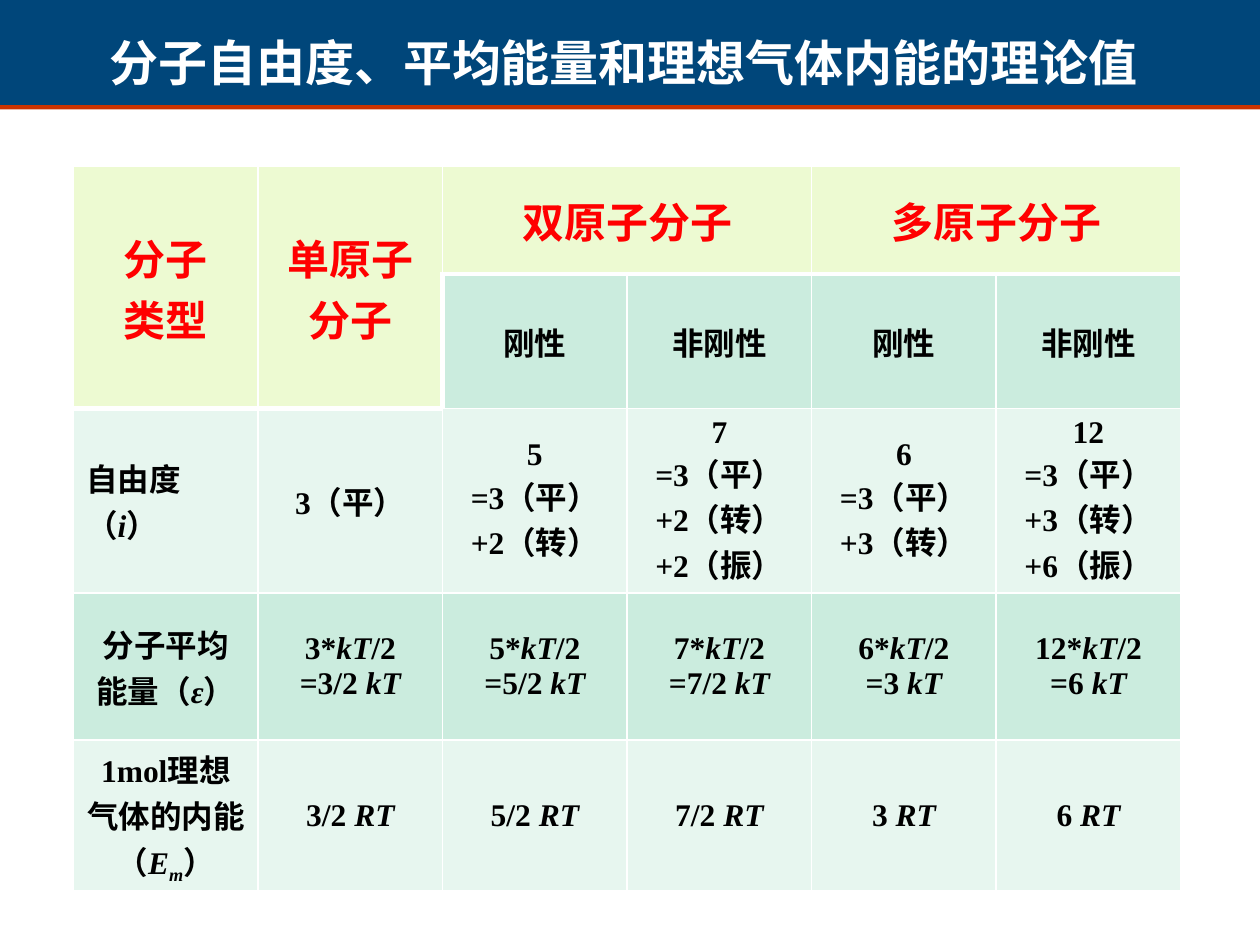
from typing import NamedTuple

from lxml.etree import SubElement
from pptx import Presentation
from pptx.dml.color import RGBColor
from pptx.enum.shapes import MSO_SHAPE
from pptx.enum.text import MSO_ANCHOR, MSO_AUTO_SIZE, PP_ALIGN
from pptx.oxml import parse_xml
from pptx.oxml.ns import nsdecls, qn
from pptx.util import Pt

WHITE = RGBColor(0xFF, 0xFF, 0xFF)
BLACK = RGBColor(0, 0, 0)
RED = RGBColor(0xFF, 0, 0)
NAVY = RGBColor(0x00, 0x46, 0x7A)
RUST = RGBColor(0xCC, 0x33, 0x00)
LIME = RGBColor(0xED, 0xFA, 0xD2)
MINT = RGBColor(0xCB, 0xEC, 0xDE)
PALE = RGBColor(0xE7, 0xF6, 0xEF)

LATIN = "Times New Roman"
CJK = "Noto Sans CJK SC"


class Bar(NamedTuple):
    top: float
    height: float
    color: RGBColor


class Span(NamedTuple):
    text: str
    italic: bool = False
    baseline: int = 0


class Entry(NamedTuple):
    lines: list[list[Span]]
    align: PP_ALIGN = PP_ALIGN.CENTER


def plain(*lines: str) -> Entry:
    return Entry([[Span(line)] for line in lines])


def energy(freedom: int, result: str) -> Entry:
    kt = Span("kT", italic=True)
    return Entry([[Span(f"{freedom}*"), kt, Span("/2")], [Span(f"={result} "), kt]])


def molar(factor: str) -> Entry:
    return Entry([[Span(f"{factor} "), Span("RT", italic=True)]])


def add_span(p, span: Span, size: float, color: RGBColor, latin: str) -> None:
    r = p.add_run()
    r.text = span.text
    r.font.size = Pt(size)
    r.font.bold = True
    r.font.italic = span.italic
    r.font.color.rgb = color
    r.font.name = latin
    props = r.font._element
    SubElement(props, qn("a:ea")).set("typeface", CJK)
    if span.baseline:
        props.set("baseline", str(span.baseline))


def add_bar(slide, bar: Bar, width: float) -> None:
    sp = slide.shapes.add_shape(
        MSO_SHAPE.RECTANGLE, Pt(0), Pt(bar.top), Pt(width), Pt(bar.height))
    sp.shadow.inherit = False
    sp.fill.solid()
    sp.fill.fore_color.rgb = bar.color
    sp.line.fill.background()


def set_borders(cell, row: int, col: int) -> None:
    """White rules, thick around the lower edge of the header."""
    under_header = (row == 1 and col >= 2) or (row == 2 and col < 2)
    widths = {
        "lnL": 3 if (row, col) == (1, 2) else 1,
        "lnR": 3 if (row, col) == (1, 1) else 1,
        "lnT": 3 if under_header else 1,
        "lnB": 3 if row == 0 or (row == 1 and col < 2) else 1,
    }
    props = cell._tc.get_or_add_tcPr()
    for i, (side, width) in enumerate(widths.items()):
        props.insert(i, parse_xml(
            f'<a:{side} {nsdecls("a")} w="{Pt(width)}"><a:solidFill>'
            f'<a:srgbClr val="{WHITE}"/></a:solidFill></a:{side}>'))


def fill_cell(cell, entry: Entry, size: float, color: RGBColor) -> None:
    cell.vertical_anchor = MSO_ANCHOR.MIDDLE
    tf = cell.text_frame
    for i, line in enumerate(entry.lines):
        p = tf.add_paragraph() if i else tf.paragraphs[0]
        p.alignment = entry.align
        for span in line:
            add_span(p, span, size, color, LATIN)


BARS = [Bar(57, 5.5, RUST), Bar(0, 60, NAVY)]
ROW_HEIGHTS = [61.5, 76.8, 105.4, 84, 86.3]
COL_WIDTH = 105.45
MERGES = [((0, 0), (1, 0)), ((0, 1), (1, 1)), ((0, 2), (0, 3)), ((0, 4), (0, 5))]

ROWS = [
    [plain("分子", "类型"), plain("单原子", "分子"),
     plain("双原子分子"), None, plain("多原子分子"), None],
    [None, None, plain("刚性"), plain("非刚性"), plain("刚性"), plain("非刚性")],
    [Entry([[Span("自由度（"), Span("i", True), Span("）")]], PP_ALIGN.LEFT),
     plain("3（平）"),
     plain("5", "=3（平）+2（转）"),
     plain("7", "=3（平）+2（转）+2（振）"),
     plain("6", "=3（平）+3（转）"),
     plain("12", "=3（平）+3（转）+6（振）")],
    [Entry([[Span("分子平均")], [Span("能量（"), Span("ε", True), Span("）")]]),
     energy(3, "3/2"), energy(5, "5/2"), energy(7, "7/2"),
     energy(6, "3"), energy(12, "6")],
    [Entry([[Span("1mol理想气体的内能（"), Span("E", True),
             Span("m", True, -25000), Span("）")]]),
     *map(molar, ["3/2", "5/2", "7/2", "3", "6"])],
]


def main() -> None:
    prs = Presentation()
    prs.slide_width, prs.slide_height = Pt(720), Pt(540)
    slide = prs.slides.add_slide(prs.slide_layouts[5])
    title = slide.shapes.title

    # Header band, with the title kept in front
    for bar in BARS:
        add_bar(slide, bar, 720)
    slide.shapes._spTree.append(title._element)

    # Title
    title.left, title.top, title.width, title.height = Pt(55.4), Pt(15), Pt(633.6), Pt(41)
    tf = title.text_frame
    tf.word_wrap = True
    tf.auto_size = MSO_AUTO_SIZE.SHAPE_TO_FIT_TEXT
    tf.vertical_anchor = MSO_ANCHOR.TOP
    p = tf.paragraphs[0]
    p.alignment = PP_ALIGN.LEFT
    add_span(p, Span("分子自由度、平均能量和理想气体内能的理论值"), 28, WHITE, CJK)

    # Table
    cols = len(ROWS[0])
    table = slide.shapes.add_table(
        len(ROWS), cols, Pt(42), Pt(95.2),
        Pt(COL_WIDTH * cols), Pt(sum(ROW_HEIGHTS))).table
    table.first_row = table.horz_banding = False
    for column in table.columns:
        column.width = Pt(COL_WIDTH)
    for row, height in zip(table.rows, ROW_HEIGHTS):
        row.height = Pt(height)
    for first, last in MERGES:
        table.cell(*first).merge(table.cell(*last))

    for r, entries in enumerate(ROWS):
        for c, entry in enumerate(entries):
            cell = table.cell(r, c)
            header = r == 0 or (r == 1 and c < 2)
            cell.fill.solid()
            cell.fill.fore_color.rgb = LIME if header else MINT if r % 2 else PALE
            set_borders(cell, r, c)
            if entry:
                fill_cell(cell, entry, 24 if header else 18, RED if header else BLACK)

    prs.save("out.pptx")


if __name__ == "__main__":
    main()
